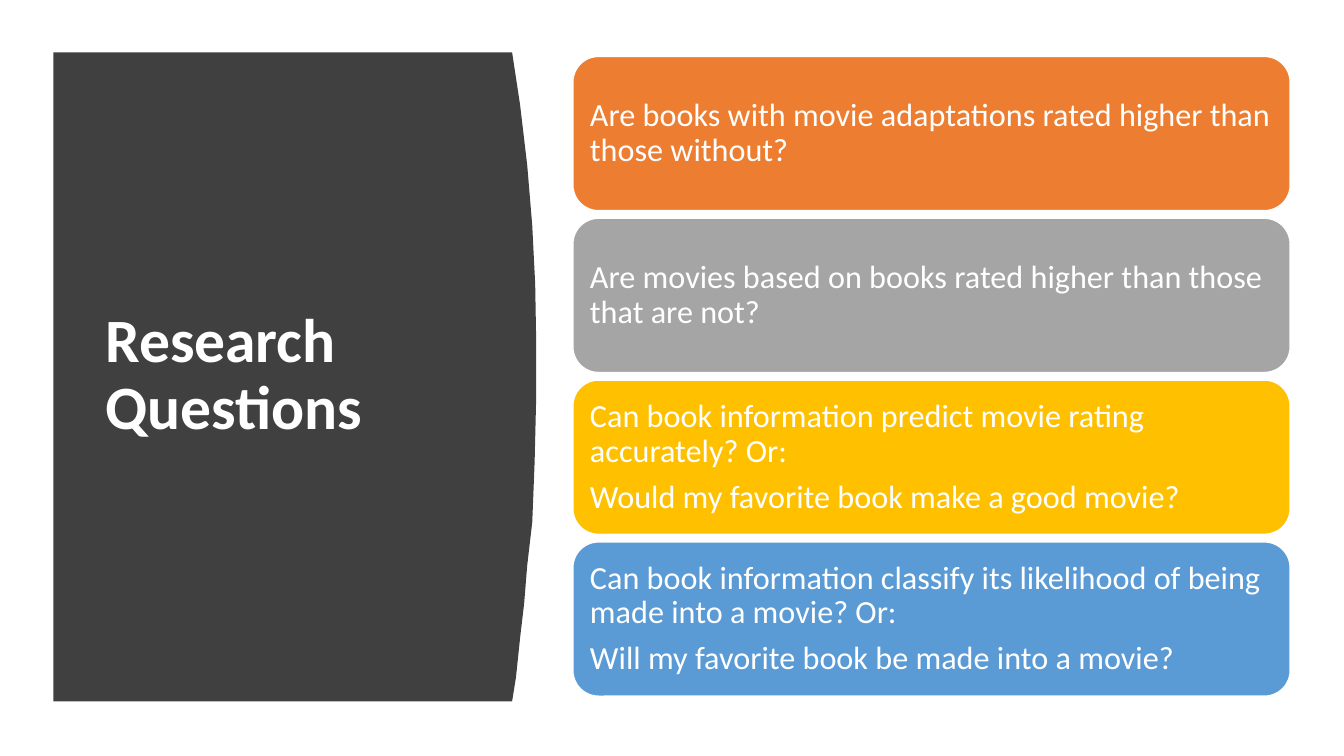
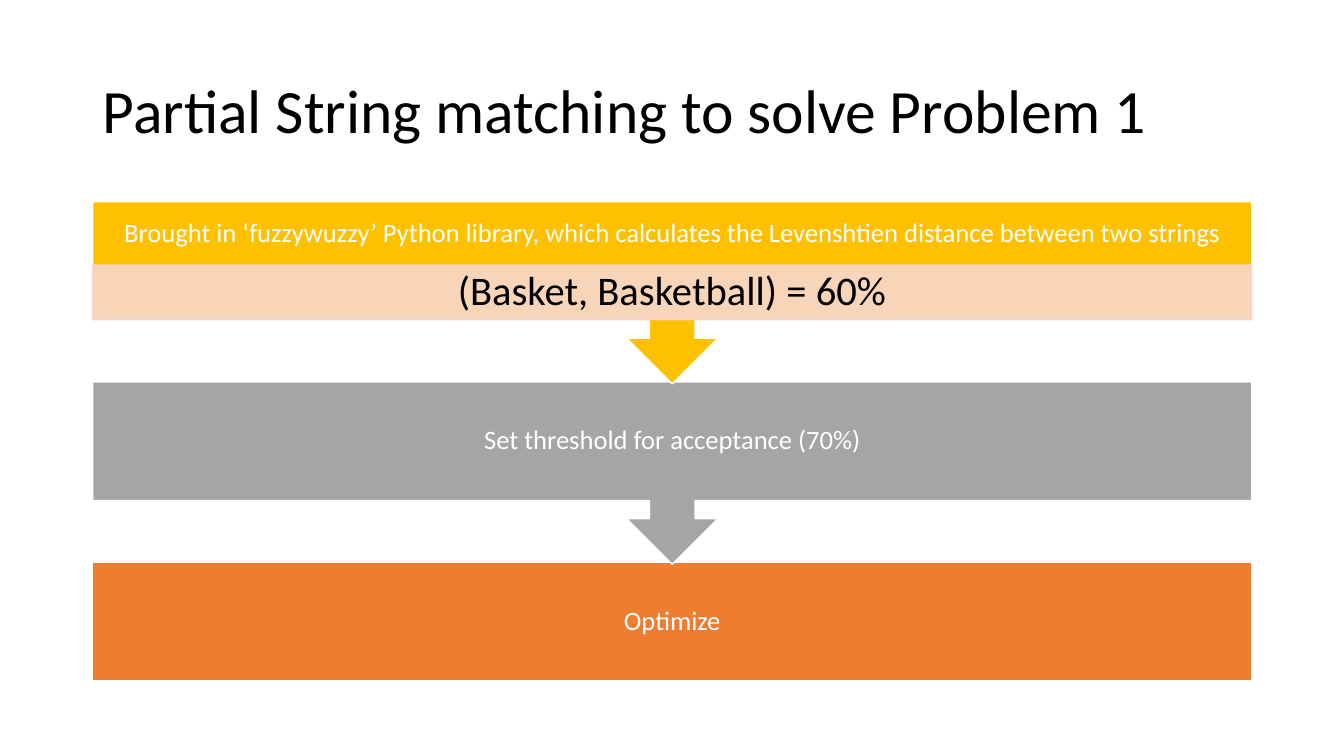
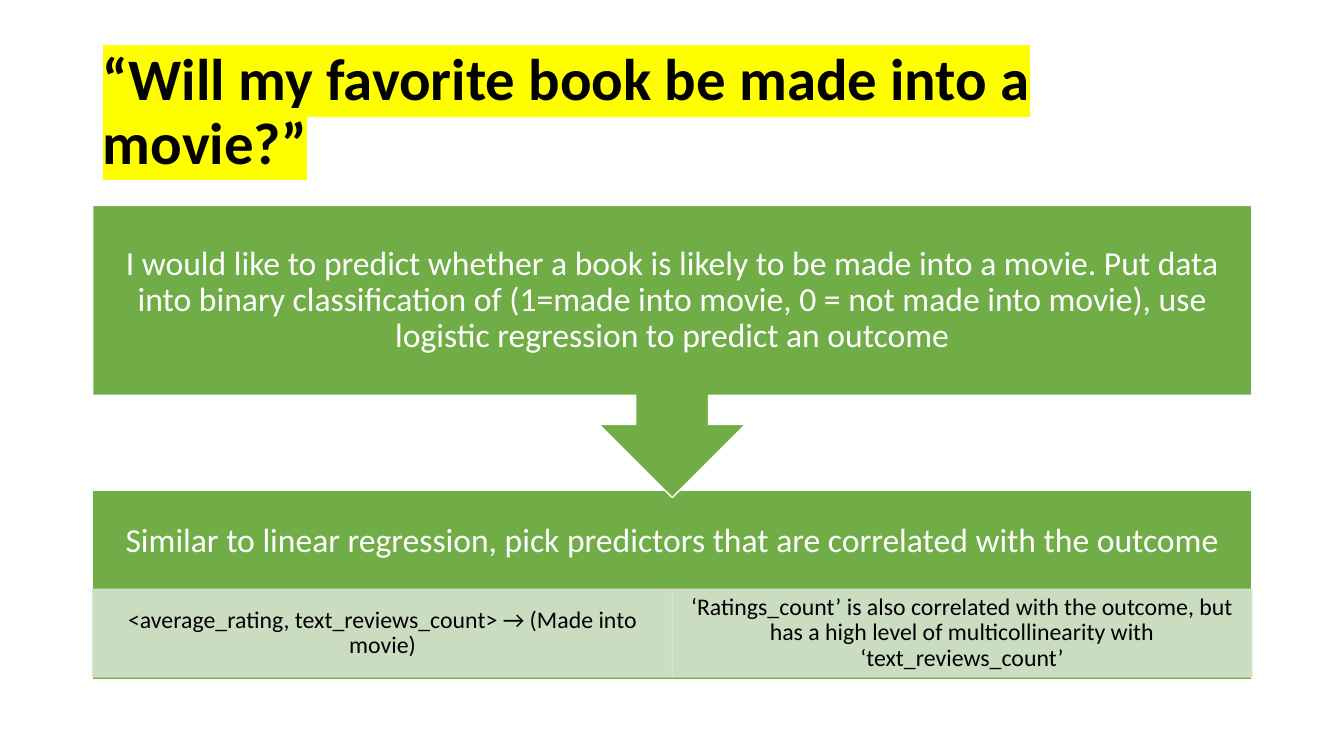
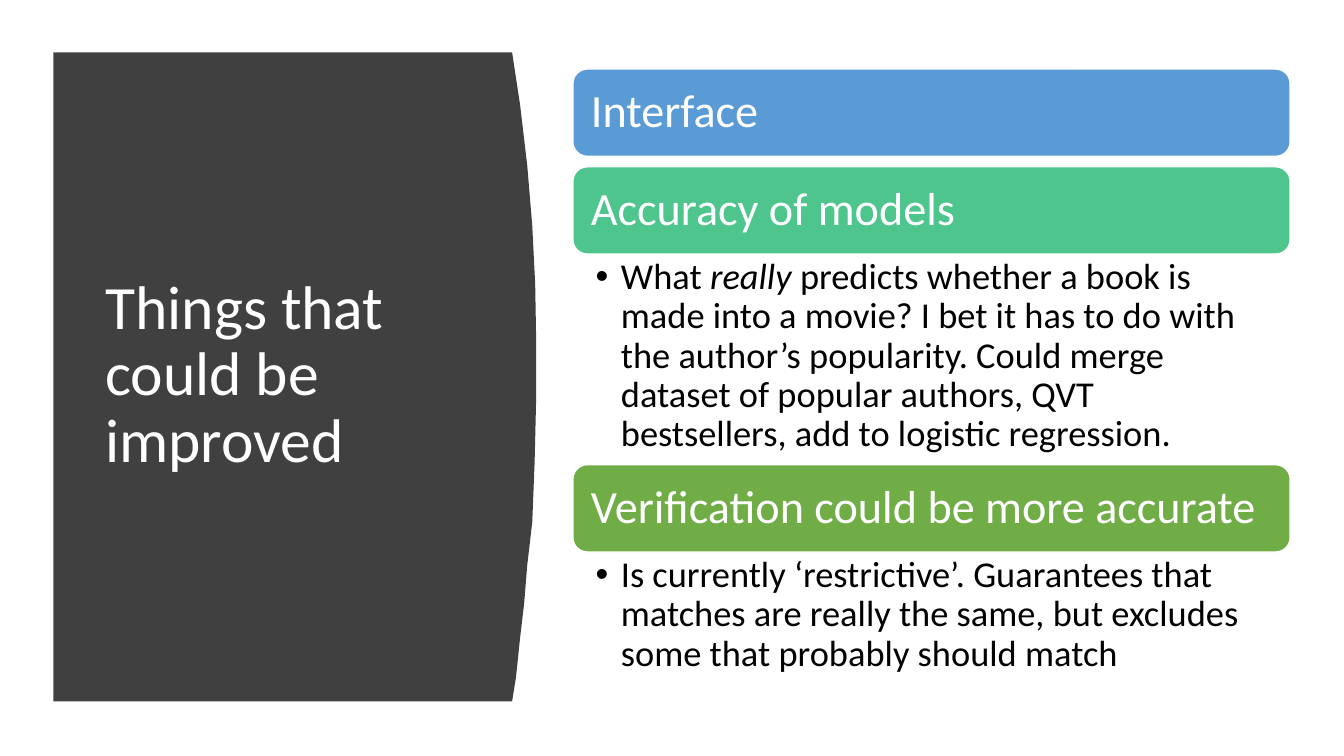
from dataclasses import dataclass

from lxml import etree
from pptx import Presentation
from pptx.dml.color import RGBColor
from pptx.enum import shapes, text
from pptx.oxml.ns import qn
from pptx.util import Pt


@dataclass(frozen=True)
class Theme:
    font: str = "Calibri"
    white: str = "FFFFFF"
    black: str = "000000"
    dark: str = "404040"
    orange: str = "ED7D31"
    gray: str = "A5A5A5"
    gold: str = "FFC000"
    blue: str = "5B9BD5"
    mint: str = "4DC58D"
    green: str = "70AD47"
    peach: str = "F8D7CE"
    pale: str = "D5E3CF"
    mark: str = "FFFF00"
    title: int = 44
    quote: int = 42
    head: int = 33
    big: int = 29
    list: int = 26
    step: int = 24
    card: int = 23
    flow: int = 19
    note: int = 17


T = Theme()
KIND = shapes.MSO_SHAPE
ALIGN = text.PP_ALIGN
ANCHOR = text.MSO_ANCHOR
TITLE_ONLY, TWO_LISTS = 5, 3

WIDE = (66.2, 28.8, 828, 104.4)
SIDE = (68, 79.9, 269.3, 377.3)
FLOW_X, FLOW_W = 66.2, 828
CARD_X, CARD_W = 409.2, 512.4
EDGE = [(365.8, 37.4), (371.5, 74.9), (376.6, 118.1), (380.2, 161.3),
        (382.3, 203), (383, 244), (383, 283.7), (381.9, 330),
        (380.2, 373), (376.6, 403.9), (374.4, 431.3), (371.5, 455.8),
        (368.6, 483.8), (365.8, 501.1)]
EDGE_X = 38.2


def rgb(code):
    return RGBColor.from_string(code)


def setall(item, **vals):
    for key, val in vals.items():
        setattr(item, key, val)


def place(item, box):
    setall(item, **dict(zip(("left", "top", "width", "height"), map(Pt, box))))


def paint(item, color, line=None):
    item.shadow.inherit = False
    item.fill.solid()
    item.fill.fore_color.rgb = rgb(color)
    if line:
        item.line.color.rgb = rgb(line)
        item.line.width = Pt(1)
    else:
        item.line.fill.background()


def fade(item, percent):
    """Make the fill and the line partly see-through."""
    for color in item._element.spPr.iter(qn("a:srgbClr")):
        etree.SubElement(color, qn("a:alpha"), val=str(percent * 1000))


def mark(run, color):
    """Put a highlight behind a run; it must follow the run's fill."""
    light = etree.Element(qn("a:highlight"))
    etree.SubElement(light, qn("a:srgbClr"), val=color)
    run._r.rPr.find(qn("a:solidFill")).addnext(light)


def write(frame, paras, size, color=T.white, align=ALIGN.LEFT,
          anchor=ANCHOR.MIDDLE, pad=None, bold=False):
    """Fill a frame; a paragraph is a string or a list of (text, italic).

    pad holds the left, top, right and bottom insets.
    """
    setall(frame, word_wrap=True, auto_size=text.MSO_AUTO_SIZE.NONE,
           vertical_anchor=anchor)
    if pad:
        sides = ("margin_left", "margin_top", "margin_right", "margin_bottom")
        setall(frame, **dict(zip(sides, map(Pt, pad))))
    for i, parts in enumerate(paras):
        para = frame.add_paragraph() if i else frame.paragraphs[0]
        setall(para, alignment=align, line_spacing=0.9, space_after=Pt(0),
               space_before=Pt(0.35 * size if i else 0))
        for words, slant in [(parts, False)] if isinstance(parts, str) else parts:
            run = para.add_run()
            run.text = words
            setall(run.font, name=T.font, size=Pt(size), bold=bold, italic=slant)
            run.font.color.rgb = rgb(color)


def start(deck, layout, title, box, **style):
    slide = deck.slides.add_slide(deck.slide_layouts[layout])
    place(slide.shapes.title, box)
    write(slide.shapes.title.text_frame, [title], **style)
    return slide


def panel(slide):
    """Dark side panel with a bulging right edge, kept behind the title."""
    pen = slide.shapes.build_freeform(Pt(EDGE_X), Pt(EDGE[0][1]))
    points = EDGE + [(EDGE_X, EDGE[-1][1])]
    pen.add_line_segments([(Pt(x), Pt(y)) for x, y in points])
    item = pen.convert_to_shape()
    paint(item, T.dark)
    slide.shapes._spTree.insert(2, item._element)


def block(slide, kind, box, fill, paras, size, line=T.white, **style):
    item = slide.shapes.add_shape(kind, *map(Pt, box))
    paint(item, fill, line)
    write(item.text_frame, paras, size, **style)
    return item


def card(slide, top, high, fill, paras, size):
    box = (CARD_X, top, CARD_W, high)
    block(slide, KIND.ROUNDED_RECTANGLE, box, fill, paras, size,
          pad=[0.3 * size] * 4)


def step(slide, kind, top, high, fill, words, size, foot=0):
    """Full-width step; foot is the depth left free for a strip."""
    gap = 0.56 * size
    block(slide, kind, (FLOW_X, top, FLOW_W, high), fill, [words], size,
          align=ALIGN.CENTER, pad=(gap, gap, gap, gap + foot))


def strip(slide, top, high, fill, cells, size, pad):
    wide = FLOW_W / len(cells)
    for i, words in enumerate(cells):
        box = (FLOW_X + i * wide, top, wide, high)
        item = block(slide, KIND.RECTANGLE, box, fill, [words], size, line=fill,
                     color=T.black, align=ALIGN.CENTER, pad=pad)
        fade(item, 90)


def bullet(holder, top, high, parts):
    place(holder, (CARD_X, top, CARD_W, high))
    write(holder.text_frame, [parts], T.list, color=T.black,
          anchor=ANCHOR.TOP, pad=(16.3, 3.3, 18.5, 3.3))
    for para in holder.text_frame.paragraphs:
        props = para._p.get_or_add_pPr()
        props.set("marL", str(Pt(18)))
        props.set("indent", str(-Pt(18)))
        etree.SubElement(props, qn("a:buChar"), char="•")


def questions(deck):
    slide = start(deck, TITLE_ONLY, "Research Questions", SIDE,
                  size=T.title, bold=True)
    panel(slide)
    cards = [
        (T.orange, ["Are books with movie adaptations rated higher than those without?"]),
        (T.gray, ["Are movies based on books rated higher than those that are not?"]),
        (T.gold, ["Can book information predict movie rating accurately? Or:",
                  "Would my favorite book make a good movie?"]),
        (T.blue, ["Can book information classify its likelihood of being made into a movie? Or:",
                  "Will my favorite book be made into a movie?"]),
    ]
    for i, (fill, paras) in enumerate(cards):
        card(slide, 40.3 + 115.6 * i, 110.2, fill, paras, T.card)


def matching(deck):
    slide = start(deck, TITLE_ONLY, "Partial String matching to solve Problem 1",
                  WIDE, size=T.title, color=T.black)
    top, pitch, high = 144, 128.9, 130.2
    step(slide, KIND.RECTANGLE, top + 2 * pitch, 84.5, T.orange, "Optimize", T.flow)
    step(slide, KIND.DOWN_ARROW_CALLOUT, top + pitch, high, T.gray,
         "Set threshold for acceptance (70%)", T.flow)
    step(slide, KIND.DOWN_ARROW_CALLOUT, top, high, T.gold,
         "Brought in ‘fuzzywuzzy’ Python library, which calculates the "
         "Levenshtien distance between two strings", T.flow, foot=39)
    strip(slide, 189.4, 39, T.peach, ["(Basket, Basketball) = 60%"], T.big,
          (16.2, 2.9, 16.2, 2.9))


def outcome(deck):
    slide = start(deck, TITLE_ONLY, "“Will my favorite book be made into a movie?”",
                  WIDE, size=T.quote, color=T.black, bold=True)
    mark(slide.shapes.title.text_frame.paragraphs[0].runs[0], T.mark)
    step(slide, KIND.RECTANGLE, 350.4, 135.4, T.green,
         "Similar to linear regression, pick predictors that are correlated "
         "with the outcome", T.step, foot=62.3)
    strip(slide, 421, 62.6, T.pale,
          ["<average_rating, text_reviews_count> → (Made into movie)",
           "‘Ratings_count’ is also correlated with the outcome, but has a high "
           "level of multicollinearity with ‘text_reviews_count’"],
          T.note, (9.5, 1.7, 9.5, 1.7))
    step(slide, KIND.DOWN_ARROW_CALLOUT, 146.8, 208.6, T.green,
         "I would like to predict whether a book is likely to be made into a movie. "
         "Put data into binary classification of (1=made into movie, 0 = not made "
         "into movie), use logistic regression to predict an outcome", T.step)


def improve(deck):
    slide = start(deck, TWO_LISTS, "Things that could be improved", SIDE,
                  size=T.title)
    panel(slide)
    for top, fill, words in [(49.3, T.blue, "Interface"),
                             (119.1, T.mint, "Accuracy of models"),
                             (331.9, T.green, "Verification could be more accurate")]:
        card(slide, top, 62.4, fill, [words], T.head)
    bullet(slide.placeholders[1], 181.2, 150.4, [
        ("What ", False), ("really ", True),
        ("predicts whether a book is made into a movie? I bet it has to do with "
         "the author’s popularity. Could merge dataset of popular authors, QVT "
         "bestsellers, add to logistic regression.", False)])
    bullet(slide.placeholders[2], 394, 94.2,
           "Is currently ‘restrictive’. Guarantees that matches are really the "
           "same, but excludes some that probably should match")


def main():
    deck = Presentation()
    setall(deck, slide_width=Pt(960), slide_height=Pt(540))
    for build in (questions, matching, outcome, improve):
        build(deck)
    deck.save("out.pptx")


if __name__ == "__main__":
    main()
